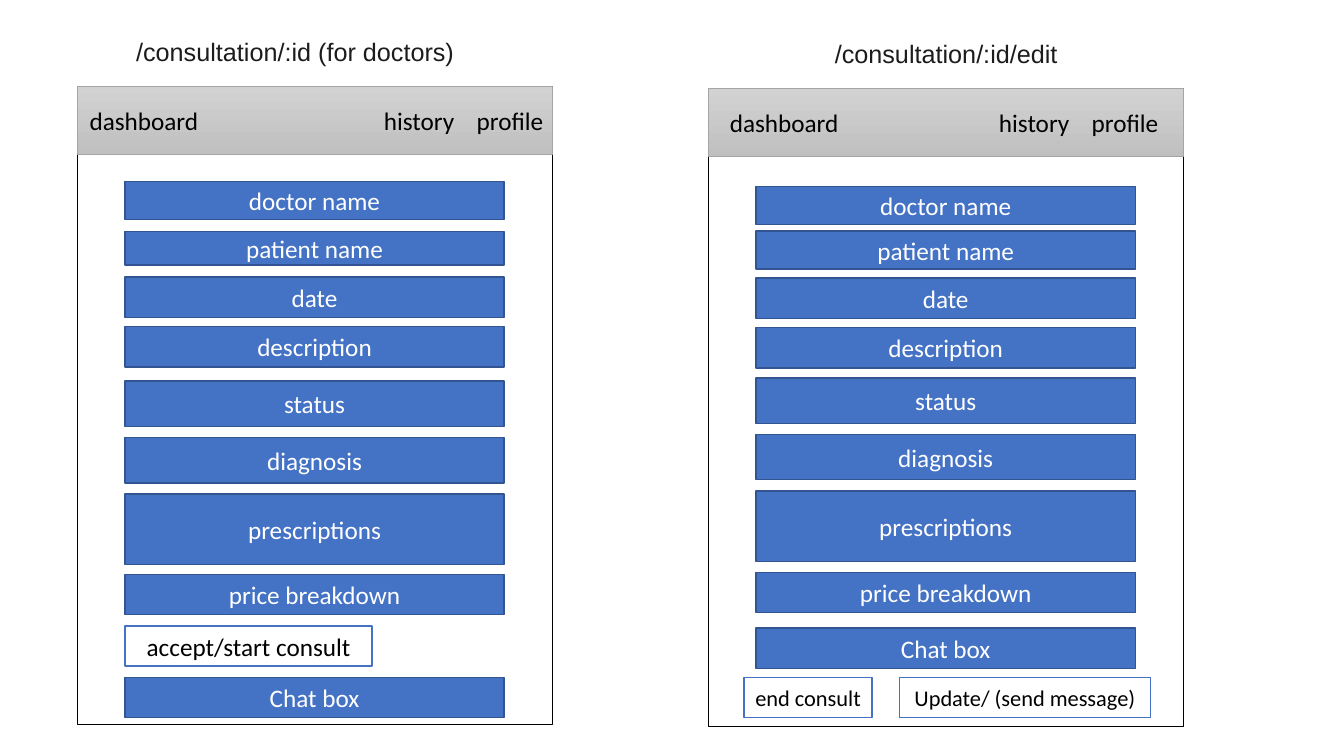
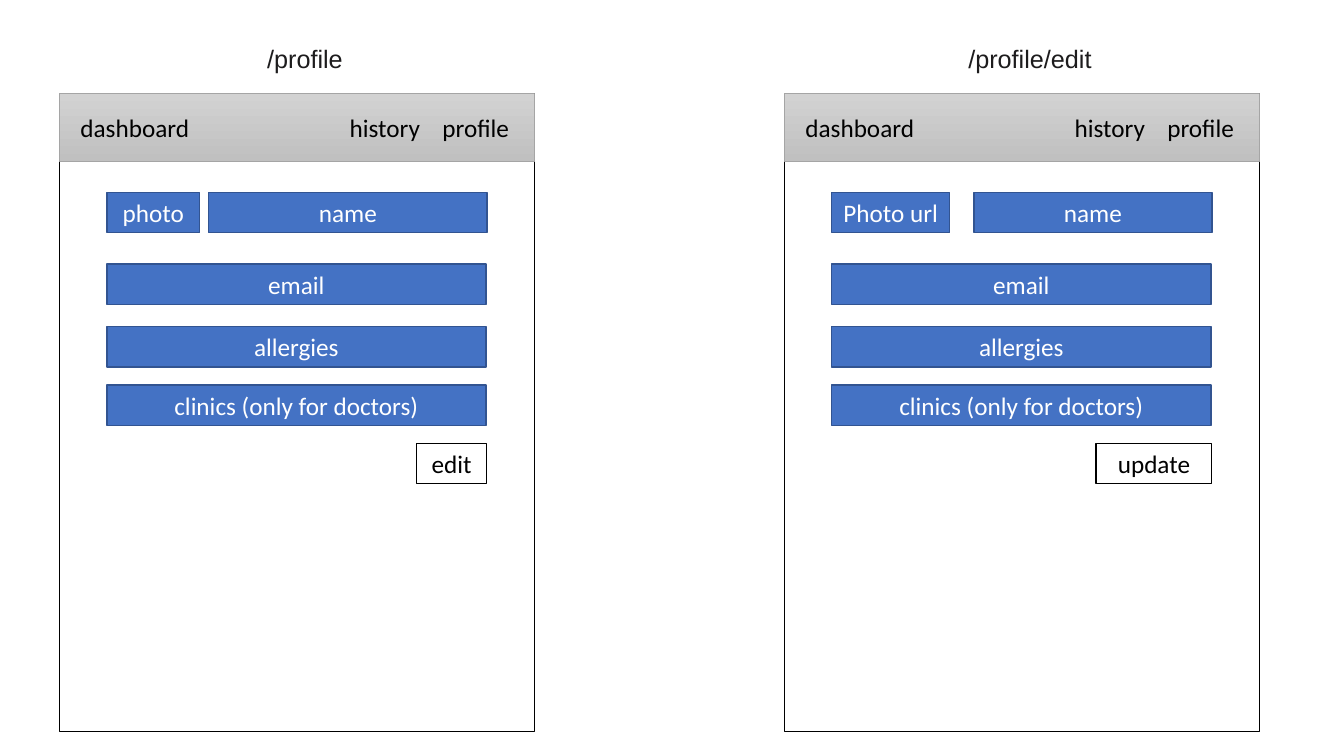
import pptx
import pptx.util
import pptx.dml.color
import pptx.enum.shapes
import pptx.enum.text
import lxml.etree

Inches = pptx.util.Inches
Pt = pptx.util.Pt
ALIGN = pptx.enum.text.PP_ALIGN
ANCHOR = pptx.enum.text.MSO_ANCHOR

COLORS = {
    "blue": "4472C4", "edge": "325491", "white": "FFFFFF", "black": "000000",
    "ink": "1D1C1D", "light": "D2D2D2", "dark": "C0C0C0", "gray": "A5A5A5",
}
PANEL_W, PANEL_H, BAR_H = 4.71, 6.33, 0.67
FIELD_X, FIELD_W, ROW_H = 0.47, 3.76, 0.4
FIELD_END = 4.24


def color(name):
    """Return the named colour."""
    return pptx.dml.color.RGBColor.from_string(COLORS[name])


def place(shape, x, y, w, h):
    """Move and size a shape."""
    shape.left, shape.top = Inches(x), Inches(y)
    shape.width, shape.height = Inches(w), Inches(h)


def write(shape, text, ink, size=18, font="Calibri", align=ALIGN.CENTER,
          anchor=ANCHOR.MIDDLE):
    """Put one styled run in a shape and return its paragraph."""
    frame = shape.text_frame
    frame.word_wrap = True
    frame.auto_size = pptx.enum.text.MSO_AUTO_SIZE.NONE
    frame.vertical_anchor = anchor
    para = frame.paragraphs[0]
    para.alignment = align
    run = para.add_run()
    run.text = text
    run.font.name, run.font.size = font, Pt(size)
    run.font.color.rgb = color(ink)
    return para


def rect(slide, x, y, w, h, fill, line, width=1):
    """Draw a rectangle; fill None leaves it clear."""
    shape = slide.shapes.add_shape(
        pptx.enum.shapes.MSO_SHAPE.RECTANGLE,
        Inches(x), Inches(y), Inches(w), Inches(h))
    shape.shadow.inherit = False
    if fill:
        shape.fill.solid()
        shape.fill.fore_color.rgb = color(fill)
    else:
        shape.fill.background()
    shape.line.color.rgb = color(line)
    shape.line.width = Pt(width)
    return shape


def label(slide, x, y, w):
    """Add an empty one-line text box."""
    return slide.shapes.add_textbox(
        Inches(x), Inches(y), Inches(w), Inches(ROW_H))


def header(slide, x, y, inset, link):
    """Draw the grey bar with its links, from the panel corner."""
    bar = rect(slide, x, y, PANEL_W, BAR_H, "light", "gray", 0.5)
    bar.fill.gradient()
    bar.fill.gradient_angle = 270
    for stop, name in zip(bar.fill.gradient_stops, ("light", "dark")):
        stop.color.rgb = color(name)
    write(label(slide, x + inset, y + 0.14, 1.37), "dashboard", "black",
          align=ALIGN.LEFT, anchor=ANCHOR.TOP)
    para = write(label(slide, x + link, y + 0.14, 1.93), "history\tprofile",
                 "black", align=ALIGN.LEFT, anchor=ANCHOR.TOP)
    space = "{http://schemas.openxmlformats.org/drawingml/2006/main}"
    tabs = lxml.etree.SubElement(para._p.get_or_add_pPr(), space + "tabLst")
    lxml.etree.SubElement(tabs, space + "tab", pos=str(Inches(0.92)), algn="l")


def panel(slide, x, y, head, fields, keys, first, inset=0.11, link=2.78):
    """Draw one page mock-up: heading, frame, header, fields and buttons."""
    text, dx, w, align = head
    title = slide.shapes.title if first else label(slide, x, y, w)
    place(title, x + dx, y - 0.55, w, ROW_H)
    write(title, text, "ink", font="Arial", align=align, anchor=ANCHOR.TOP)
    rect(slide, x, y, PANEL_W, PANEL_H, None, "black")
    header(slide, x, y, inset, link)
    for name, dx, dy, w, h in fields:
        box = rect(slide, x + dx, y + dy, w, h, "blue", "edge")
        write(box, name, "white")
    for name, dx, dy, w, size, fill, line, width in keys:
        box = rect(slide, x + dx, y + dy, w, ROW_H, fill, line, width)
        write(box, name, "black", size)


def stack(rows):
    """Turn (name, top, height) rows into full-width fields."""
    return [(name, FIELD_X, dy, FIELD_W, h) for name, dy, h in rows]


def consult(slide):
    """Build the consultation pages."""
    names = ("doctor name", "patient name", "date", "description", "status",
             "diagnosis", "prescriptions", "price breakdown", "Chat box")
    view = zip(names, (0.94, 1.44, 1.89, 2.38, 2.92, 3.48, 4.04, 4.84, 5.86),
               (0.38, 0.33, 0.4, 0.4, 0.45, 0.45, 0.7, 0.4, 0.4))
    edit = zip(names, (0.97, 1.41, 1.88, 2.37, 2.87, 3.43, 3.99, 4.8, 5.35),
               (0.38, 0.38, 0.4, 0.4, 0.45, 0.45, 0.7, 0.4, 0.4))
    style = ("white", "blue", 1)
    panel(slide, 0.77, 0.86,
          ("/consultation/:id (for doctors)", 0.48, 3.47, ALIGN.LEFT),
          stack(view),
          [("accept/start consult", FIELD_X, 5.35, 2.45, 18, *style)],
          True, inset=0.02, link=2.94)
    panel(slide, 7.03, 0.88,
          ("/consultation/:id/edit", 0.29, 4.13, ALIGN.CENTER), stack(edit),
          [("end consult", 0.35, 5.84, 1.27, 16, *style),
           ("Update/ (send message)", 1.89, 5.84, 2.49, 16, *style)], False)


def profile(slide):
    """Build the profile pages."""
    pages = ((0.59, "/profile", "photo", 0.92, 2.76, "edit", 0.7),
             (7.78, "/profile/edit", "Photo url", 1.17, 2.36, "update", 1.15))
    rows = stack((("email", 1.69, ROW_H), ("allergies", 2.31, ROW_H),
                  ("clinics (only for doctors)", 2.89, ROW_H)))
    for spot, (x, head, photo, pw, nw, key, kw) in enumerate(pages):
        top = [(photo, FIELD_X, 0.98, pw, ROW_H),
               ("name", FIELD_END - nw, 0.98, nw, ROW_H)]
        panel(slide, x, 0.93, (head, 1.03, 2.81, ALIGN.CENTER), top + rows,
              [(key, FIELD_END - kw, 3.47, kw, 18, None, "black", 0.75)],
              spot == 0)


deck = pptx.Presentation()
deck.slide_width, deck.slide_height = Inches(13.33), Inches(7.5)
for build in (consult, profile):
    build(deck.slides.add_slide(deck.slide_layouts[5]))
deck.save("out.pptx")
